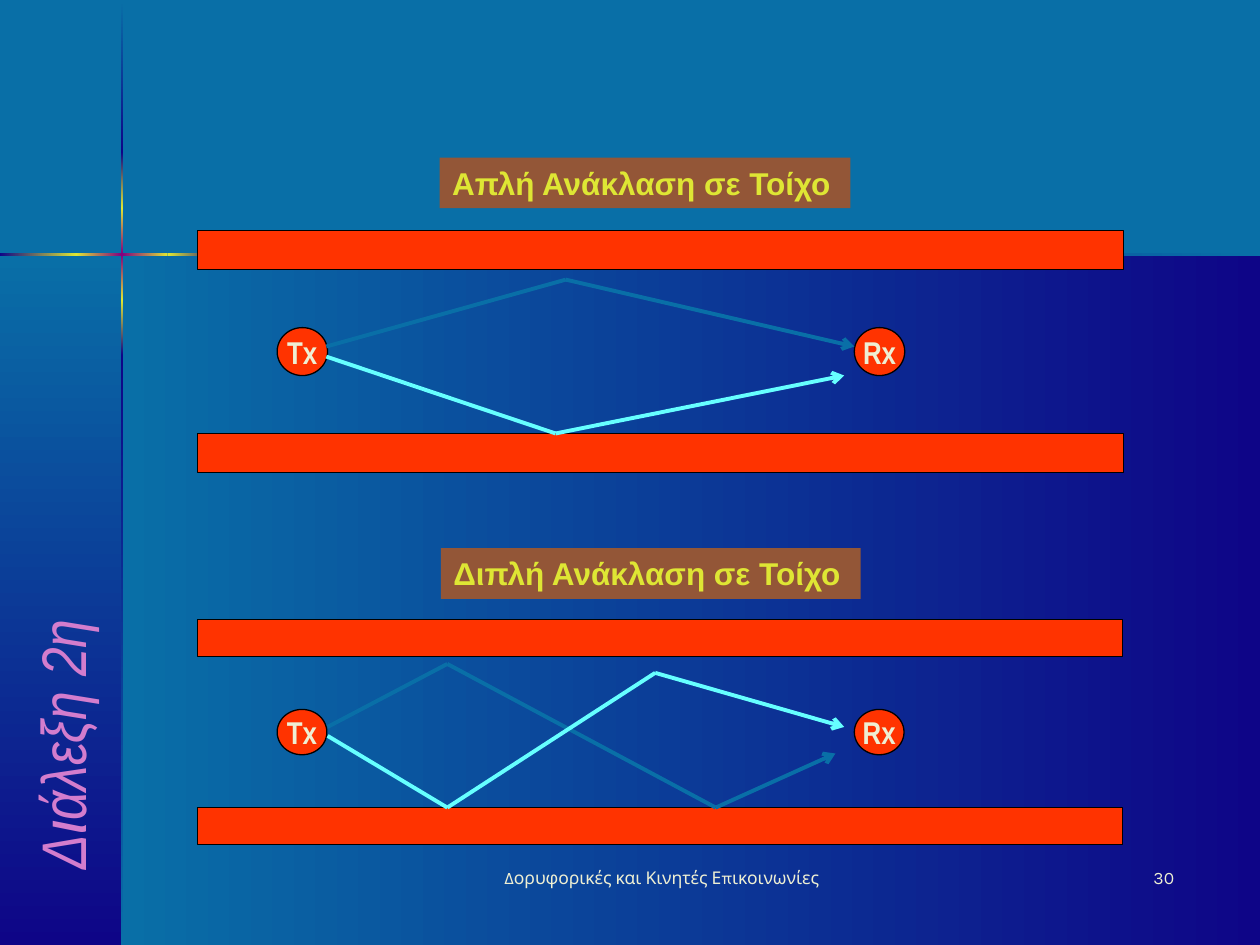
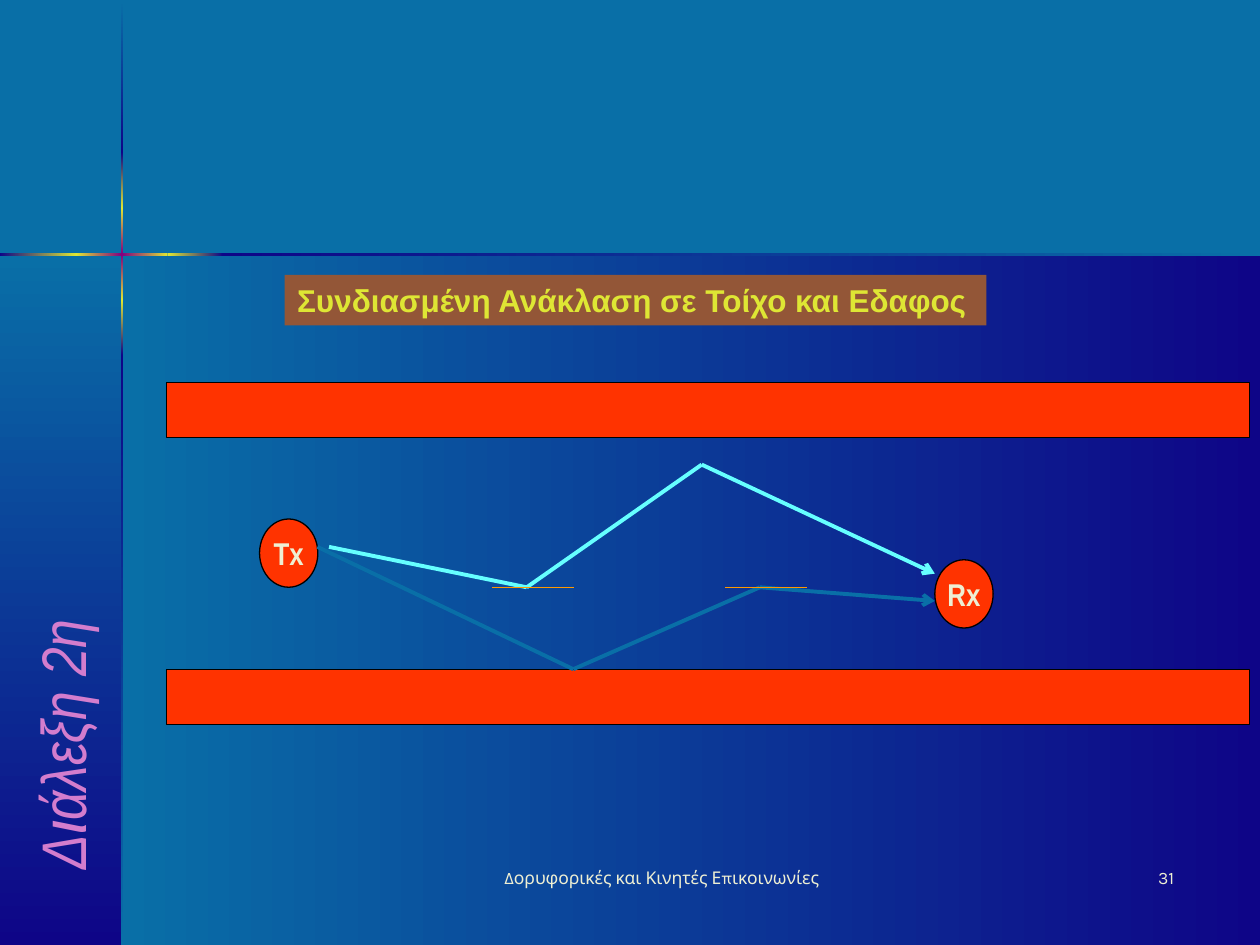
from itertools import pairwise

from lxml.etree import SubElement
from pptx import Presentation
from pptx.dml.color import RGBColor
from pptx.enum.shapes import MSO_CONNECTOR, MSO_SHAPE
from pptx.enum.text import MSO_ANCHOR, PP_ALIGN
from pptx.oxml.ns import qn
from pptx.util import Pt

COLORS = {
    "teal": "096FA7", "navy": "0E0587", "yellow": "DEE634", "purple": "800080",
    "red": "FF3300", "black": "000000", "cyan": "66FFFF", "orange": "FF9900",
    "brown": "935637", "cream": "EEEFD3", "pink": "D37DCD",
}
RGB = {name: RGBColor.from_string(value) for name, value in COLORS.items()}

# The glow along the two crossing rules: one gradient per piece
GLOW = [("teal", "navy"), ("navy", "yellow"), ("yellow", "purple", "yellow"),
        ("yellow", "navy"), ("navy", "teal")]
RULE_Y = [0.7, 87, 119, 171.5, 203, 540]
RULE_X = [0, 43.6, 95.8, 127.4, 720]
RULE_WIDTH = 1.44

# Each slide holds scenes; a ray is a colour and its bounce points
SLIDES = [
    (30, [
        {"label": ("Απλή Ανάκλαση σε Τοίχο", 251.3, 90, 234.7),
         "walls": (113, [131.8, 247.7], 529.2, 22.3),
         "nodes": ([(158.4, 187.2), (488.2, 187.2)], 28.8, 27.4),
         "rays": [
             ("teal", [(186.5, 198), (323.3, 159.8), (488.2, 198)]),
             ("cyan", [(186.5, 203.8), (317.5, 247.7), (482.4, 214.6)])],
         "ground": []},
        {"label": ("Διπλή Ανάκλαση σε Τοίχο", 252, 313.2, 239.8),
         "walls": (113, [354.2, 461.5], 528.5, 20.9),
         "nodes": ([(158.4, 405.4), (488.2, 405.4)], 28.4, 25.9),
         "rays": [
             ("teal", [(187.2, 415.4), (255.6, 379.4), (409, 461.5), (477.4, 430.6)]),
             ("cyan", [(187.2, 420.5), (255.6, 461.5), (374.4, 384.5), (482.4, 415.4)])],
         "ground": []},
    ]),
    (31, [
        {"label": ("Συνδιασμένη Ανάκλαση σε Τοίχο και Εδαφος", 162.7, 157, 401),
         "walls": (95, [218.6, 382.4], 619.2, 31.5),
         "nodes": ([(148.3, 296.6), (534.2, 319.9)], 33.3, 39),
         "rays": [
             ("teal", [(181.4, 312.5), (327.6, 382.4), (434.2, 335.6), (534.2, 343.4)]),
             ("cyan", [(188, 312.5), (301, 335.6), (401, 265.5), (534.2, 327.8)])],
         "ground": [(281.3, 335.6), (414.5, 335.6)]},
    ]),
]
GROUND_WIDTH = 46.5


def add_box(s, x, y, w, h, colors, angle=0, outlined=False, kind=MSO_SHAPE.RECTANGLE):
    """Add a shape with a plain fill, or a gradient if several colours are given."""
    sp = s.shapes.add_shape(kind, Pt(x), Pt(y), Pt(w), Pt(h))
    sp.shadow.inherit = False
    if len(colors) == 1:
        sp.fill.solid()
        sp.fill.fore_color.rgb = RGB[colors[0]]
    else:
        sp.fill.gradient()
        sp.fill.gradient_angle = angle
        stops = sp._element.spPr.find(".//" + qn("a:gsLst"))
        stops.clear()
        for i, name in enumerate(colors):
            stop = SubElement(stops, qn("a:gs"), pos=str(100000 * i // (len(colors) - 1)))
            SubElement(stop, qn("a:srgbClr"), val=COLORS[name])
    if outlined:
        sp.line.color.rgb = RGB["black"]
        sp.line.width = Pt(0.75)
    else:
        sp.line.fill.background()
    return sp


def write(sp, text, size, font, color, align=PP_ALIGN.LEFT, bold=False,
          anchor=MSO_ANCHOR.TOP, wrap=True):
    tf = sp.text_frame
    tf.word_wrap = wrap
    tf.vertical_anchor = anchor
    p = tf.paragraphs[0]
    p.text = text
    p.alignment = align
    p.font.size = Pt(size)
    p.font.name = font
    p.font.bold = bold
    p.font.color.rgb = RGB[color]
    return p


prs = Presentation()
prs.slide_width, prs.slide_height = Pt(720), Pt(540)

for number, scenes in SLIDES:
    s = prs.slides.add_slide(prs.slide_layouts[6])
    s.background.fill.solid()
    s.background.fill.fore_color.rgb = RGB["teal"]

    # Panels and crossing rules
    add_box(s, 69.8, 145.5, 650.2, 394.5, ("teal", "navy"))
    add_box(s, 0, 145.5, 69.8, 394.5, ("teal", "navy"), angle=270)
    for (top, bottom), glow in zip(pairwise(RULE_Y), GLOW):
        add_box(s, 69.1, top, RULE_WIDTH, bottom - top, glow, angle=270)
    for (left, right), glow in zip(pairwise(RULE_X), GLOW[1:]):
        add_box(s, left, 144.6, right - left, RULE_WIDTH, glow)

    # Footer, slide number and lecture name
    for text, x, w, align in [
        ("Δορυφορικές και Κινητές Επικοινωνίες", 264, 228, PP_ALIGN.CENTER),
        (str(number), 528, 150, PP_ALIGN.RIGHT),
    ]:
        footer = s.shapes.add_textbox(Pt(x), Pt(492), Pt(w), Pt(36))
        write(footer, text, 10, "Karla", "cream", align)
    lecture = s.shapes.add_textbox(Pt(-102), Pt(342), Pt(276), Pt(48))
    lecture.rotation = 270
    p = write(lecture, "Διάλεξη 2η", 36, "Arial Narrow", "pink", anchor=MSO_ANCHOR.BOTTOM)
    p.font.italic = True

    for scene in scenes:
        x, tops, w, h = scene["walls"]
        for y in tops:
            add_box(s, x, y, w, h, ["red"], outlined=True)

        places, w, h = scene["nodes"]
        for name, (x, y) in zip(("Τx", "Rx"), places):
            node = add_box(s, x, y, w, h, ["red"], outlined=True, kind=MSO_SHAPE.OVAL)
            write(node, name, 18, "Arial Narrow", "cream", PP_ALIGN.CENTER, bold=True,
                  anchor=MSO_ANCHOR.MIDDLE, wrap=False)

        segments = [(color, 2.25, start, end, end == points[-1])
                    for color, points in scene["rays"] for start, end in pairwise(points)]
        segments += [("orange", 0.75, (x, y), (x + GROUND_WIDTH, y), False)
                     for x, y in scene["ground"]]
        for color, width, start, end, has_arrow in segments:
            line = s.shapes.add_connector(
                MSO_CONNECTOR.STRAIGHT, *(Pt(v) for v in start + end))
            line.line.color.rgb = RGB[color]
            line.line.width = Pt(width)
            if has_arrow:
                SubElement(line.line._get_or_add_ln(), qn("a:tailEnd"), type="arrow")
            SubElement(line._element.spPr, qn("a:effectLst"))

        text, x, y, w = scene["label"]
        label = add_box(s, x, y, w, 29, ["brown"])
        write(label, text, 18, "Arial", "yellow", bold=True)

prs.save("out.pptx")
